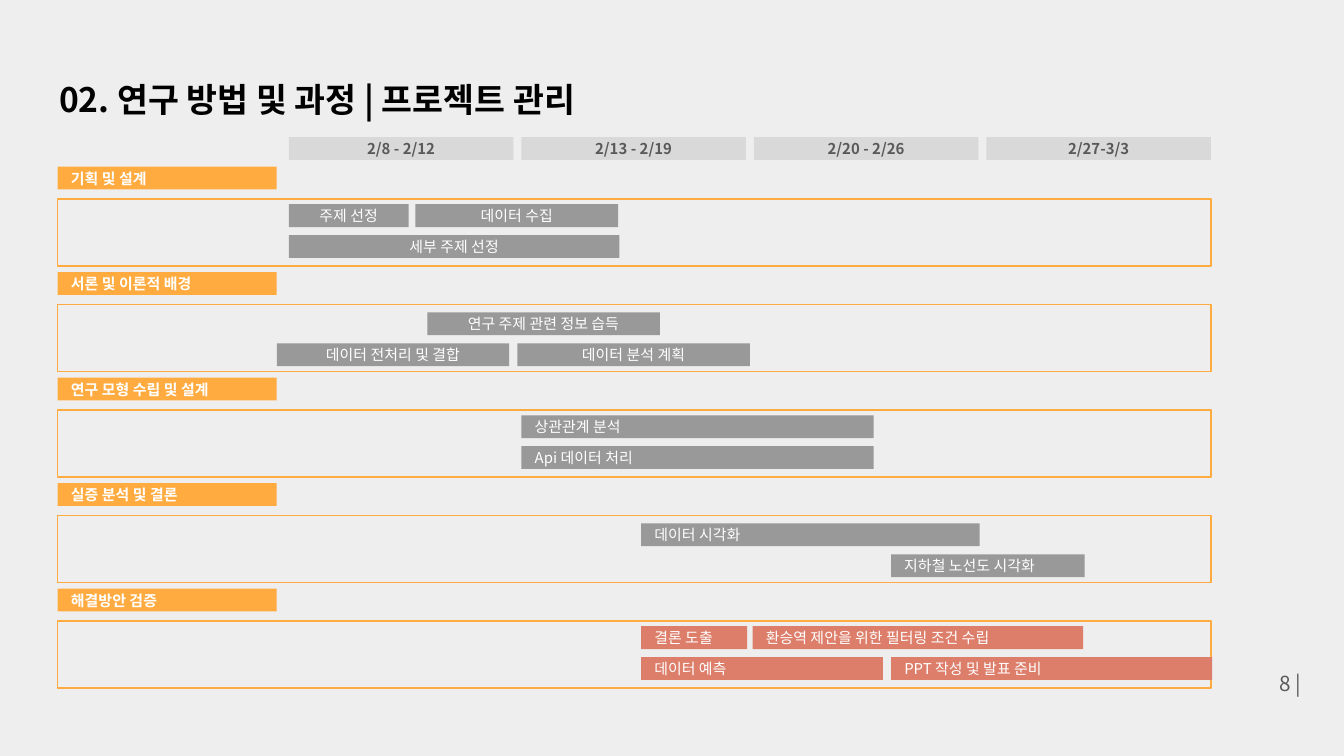
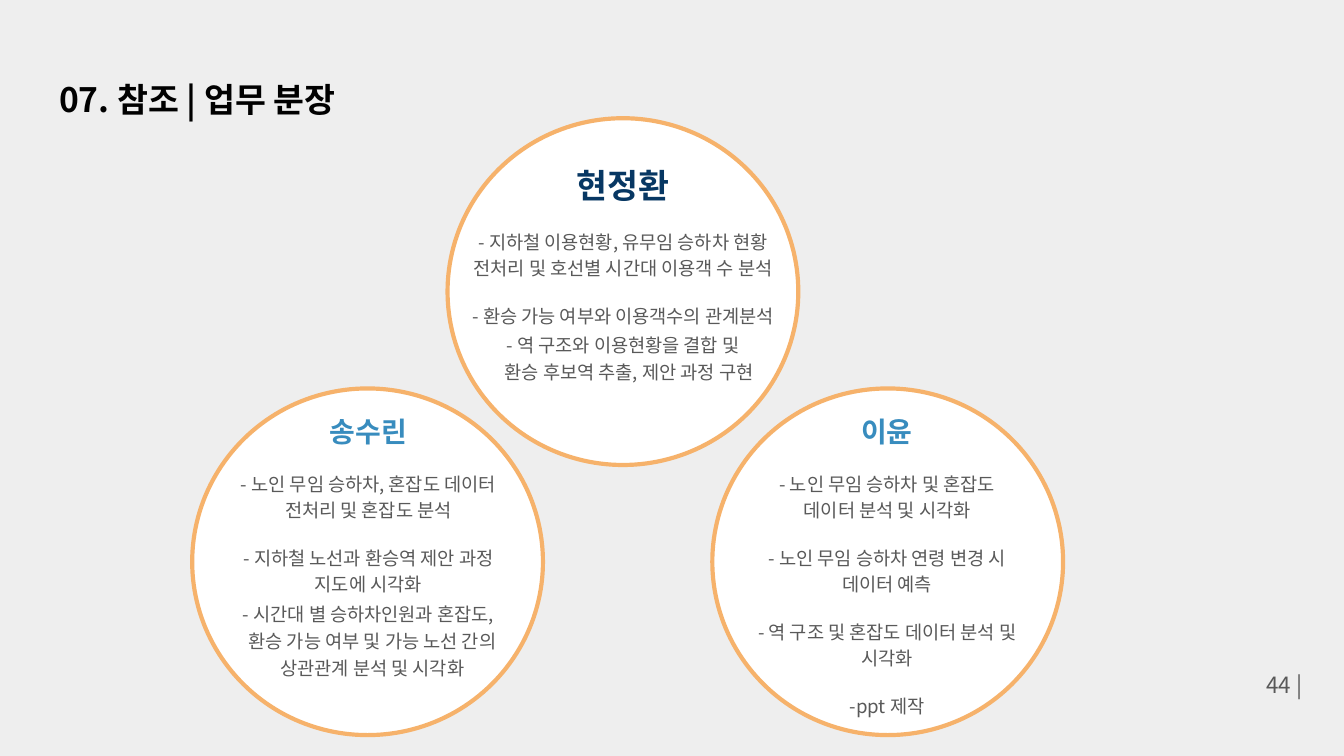
import pptx
import pptx.util
import pptx.dml.color
import pptx.enum.shapes
import pptx.enum.text
import pptx.oxml

Inches, Pt = pptx.util.Inches, pptx.util.Pt
Kind = pptx.enum.shapes.MSO_SHAPE
Align = pptx.enum.text.PP_ALIGN
Anchor = pptx.enum.text.MSO_ANCHOR
Fit = pptx.enum.text.MSO_AUTO_SIZE

FONT = "Noto Sans CJK KR"
HUES = {"back": "EEEEEE", "black": "000000", "white": "FFFFFF",
        "text": "595959", "phase": "FFAB40", "week": "D9D9D9",
        "task": "999999", "final": "DD7E6B", "ring": "F6B26B",
        "lead": "073763", "mate": "388CBE"}

# Schedule content
WEEKS = ["2/8 - 2/12", "2/13 - 2/19", "2/20 - 2/26", "2/27-3/3"]
# phase, first row below phase label, colour, centred, tasks (text, row, left, width)
PHASES = [
    ("기획 및 설계", 0.28, "task", True, [
        ("주제 선정", 0, 2.15, 0.89),
        ("데이터 수집", 0, 3.09, 1.51),
        ("세부 주제 선정", 1, 2.15, 2.46)]),
    ("서론 및 이론적 배경", 0.3, "task", True, [
        ("연구 주제 관련 정보 습득", 0, 3.18, 1.73),
        ("데이터 전처리 및 결합", 1, 2.06, 1.73),
        ("데이터 분석 계획", 1, 3.85, 1.73)]),
    ("연구 모형 수립 및 설계", 0.28, "task", False, [
        ("상관관계 분석", 0, 3.88, 2.62),
        ("Api 데이터 처리", 1, 3.88, 2.62)]),
    ("실증 분석 및 결론", 0.3, "task", False, [
        ("데이터 시각화", 0, 4.77, 2.52),
        ("지하철 노선도 시각화", 1, 6.63, 1.44)]),
    ("해결방안 검증", 0.28, "final", False, [
        ("결론 도출", 0, 4.77, 0.79),
        ("환승역 제안을 위한 필터링 조건 수립", 0, 5.6, 2.46),
        ("데이터 예측", 1, 4.77, 1.8),
        ("PPT 작성 및 발표 준비", 1, 6.63, 2.39)]),
]

# Team content: name, colour, size, spacing, circle corner, text box, duties
# A duty is (text, line spacing, left indent)
TEAM = [
    ("현정환", "lead", 18, 1.15, (3.33, 0.88), (3.33, 1.08, 2.61, 1.87), [
        ("- 지하철 이용현황, 유무임 승하차 현황 전처리 및 호선별 시간대 이용객 수 분석", 1.15, 0),
        ("- 환승 가능 여부와 이용객수의 관계분석", 1.15, 0),
        ("- 역 구조와 이용현황을 결합 및", 0.2, 0),
        ("환승 후보역 추출, 제안 과정 구현", 0.2, 0.09)]),
    ("송수린", "mate", 15, 0.8, (1.43, 2.89), (1.58, 3.03, 2.32, 2.12), [
        ("- 노인 무임 승하차, 혼잡도 데이터 전처리 및 혼잡도 분석", 1.15, 0),
        ("- 지하철 노선과 환승역 제안 과정 지도에 시각화", 1.15, 0),
        ("- 시간대 별 승하차인원과 혼잡도,", 0.2, 0),
        ("환승 가능 여부 및 가능 노선 간의", 0.2, 0.06),
        ("상관관계 분석 및 시각화", 0.2, 0.06)]),
    ("이윤", "mate", 15, 0.8, (5.3, 2.89), (5.5, 3.03, 2.2, 2.41), [
        ("- 노인 무임 승하차 및 혼잡도 데이터 분석 및 시각화", 1.15, 0),
        ("- 노인 무임 승하차 연령 변경 시 데이터 예측", 1.15, 0),
        ("- 역 구조 및 혼잡도 데이터 분석 및 시각화", 1.15, 0),
        ("-ppt 제작", 1.15, 0)]),
]

# Schedule grid
LEFT, WIDE, BAR = 0.43, 8.58, 0.17
TOP, STEP, ROW = 1.24, 3.14 / 4, 0.23
WEEK_X, WEEK_W, WEEK_GAP = 2.15, 1.67, 0.06


def rgb(key):
    return pptx.dml.color.RGBColor.from_string(HUES[key])


def frame(shape, top=0.1, anchor=Anchor.TOP, fit=Fit.NONE):
    tf = shape.text_frame
    style = {"word_wrap": True, "auto_size": fit, "vertical_anchor": anchor,
             "margin_left": Inches(0.1), "margin_right": Inches(0.1),
             "margin_top": Inches(top), "margin_bottom": Inches(0.1)}
    for key, value in style.items():
        setattr(tf, key, value)
    return tf


def write(para, text, size, hue, bold=False, **style):
    for key, value in style.items():
        setattr(para, key, value)
    run = para.add_run()
    run.text = text
    run.font.color.rgb = rgb(hue)
    for key, value in {"size": Pt(size), "bold": bold, "name": FONT}.items():
        setattr(run.font, key, value)
    # East Asian letters take their own typeface
    east = pptx.oxml.parse_xml(
        '<a:ea xmlns:a="http://schemas.openxmlformats.org/drawingml/2006/main" '
        f'typeface="{FONT}"/>')
    run._r.get_or_add_rPr().append(east)


def place(shape, box):
    for key, value in zip(("left", "top", "width", "height"), box):
        setattr(shape, key, Inches(value))


def draw(slide, kind, box, fill=None, line=None, weight=0.75):
    shape = slide.shapes.add_shape(kind, *map(Inches, box))
    shape.shadow.inherit = False
    if fill:
        shape.fill.solid()
        shape.fill.fore_color.rgb = rgb(fill)
    else:
        shape.fill.background()
    if line:
        shape.line.color.rgb = rgb(line)
        shape.line.width = Pt(weight)
    else:
        shape.line.fill.background()
    return shape


def label(slide, text, box, fill, hue="white", bold=False, mid=False):
    shape = draw(slide, Kind.RECTANGLE, box, fill)
    para = frame(shape, anchor=Anchor.MIDDLE).paragraphs[0]
    write(para, text, 8, hue, bold, alignment=Align.CENTER if mid else Align.LEFT)


def start(deck, title, page, size, box):
    """Add a slide with its title and page number."""
    slide = deck.slides.add_slide(deck.slide_layouts[0])
    head, foot = slide.placeholders
    place(head, (0.34, 0.49, 9.32, 0.63))
    write(frame(head).paragraphs[0], title, 18, "black", True,
          alignment=Align.LEFT, space_before=Pt(0))
    place(foot, box)
    write(frame(foot, top=0.47).paragraphs[0], f"{page} |", size, "text",
          alignment=Align.RIGHT, line_spacing=1.15, space_before=Pt(0))
    return slide


def plan(deck):
    slide = start(deck, "02. 연구 방법 및 과정 | 프로젝트 관리", 8, 11.1,
                  (9.39, 4.49, 0.39, 0.87))
    # Week headings
    for i, week in enumerate(WEEKS):
        x = WEEK_X + i * (WEEK_W + WEEK_GAP)
        label(slide, week, (x, 1.02, WEEK_W, BAR), "week", "text", True, True)
    # Phases with their task bars
    for i, (phase, first, hue, mid, tasks) in enumerate(PHASES):
        y = TOP + i * STEP
        draw(slide, Kind.RECTANGLE, (LEFT, y + 0.24, WIDE, 0.5), line="phase")
        label(slide, phase, (LEFT, y, 1.63, BAR), "phase", bold=True)
        for text, row, x, width in tasks:
            label(slide, text, (x, y + first + row * ROW, width, BAR), hue, mid=mid)


def team(deck):
    slide = start(deck, "07. 참조 | 업무 분장", 44, 12, (9.19, 4.49, 0.6, 0.87))
    # Circles lie behind all texts
    for _, _, _, _, spot, _, _ in TEAM:
        draw(slide, Kind.OVAL, (*spot, 2.61, 2.58), "white", "ring", 2.25)
    # Names and duties
    for name, hue, size, gap, _, box, duties in TEAM:
        tf = frame(slide.shapes.add_textbox(*map(Inches, box)),
                   fit=Fit.SHAPE_TO_FIT_TEXT)
        write(tf.paragraphs[0], name, size, hue, True,
              alignment=Align.CENTER, line_spacing=gap)
        for text, space, indent in duties:
            para = tf.add_paragraph()
            if indent:
                para._p.get_or_add_pPr().set("marL", str(Inches(indent)))
            write(para, text, 10, "text", alignment=Align.CENTER,
                  line_spacing=space, space_before=Pt(12))
        tf.paragraphs[-1].space_after = Pt(12)


def main():
    deck = pptx.Presentation()
    # Widescreen, 16 to 9
    deck.slide_width = Inches(10)
    deck.slide_height = Inches(10) * 9 // 16
    back = deck.slide_master.background.fill
    back.solid()
    back.fore_color.rgb = rgb("back")
    plan(deck)
    team(deck)
    deck.save("out.pptx")


if __name__ == "__main__":
    main()
